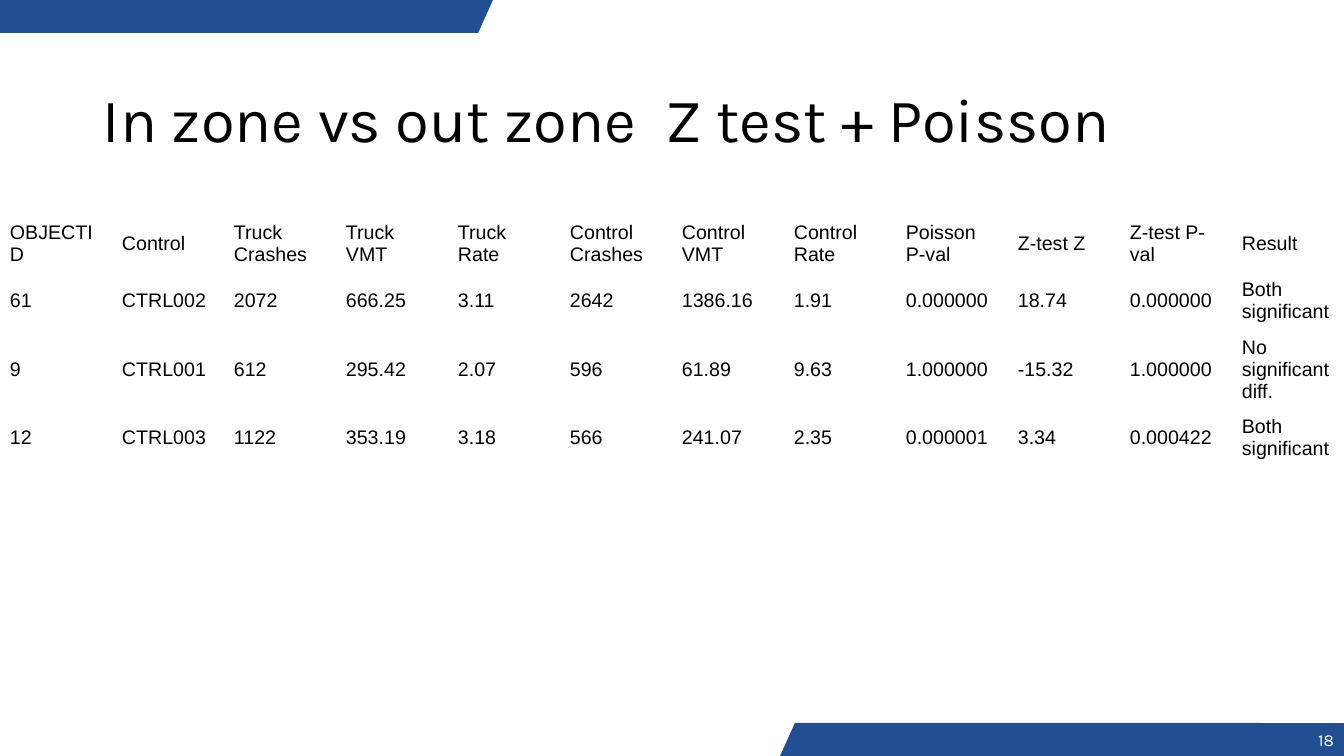
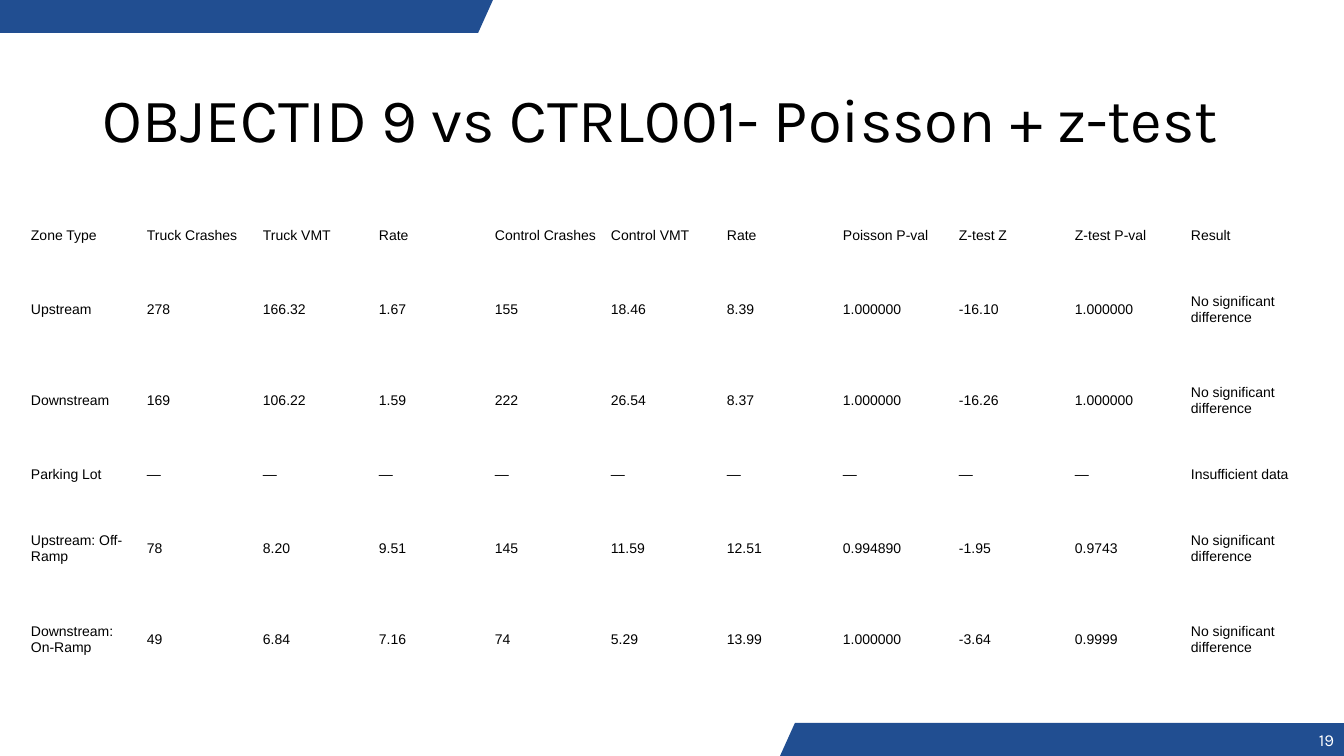
import pptx
import pptx.dml.color
import pptx.enum.shapes
import pptx.enum.text
import pptx.util

BLUE, BLACK, WHITE = "214E91", "000000", "FFFFFF"
HEADING_FONT, TABLE_FONT = "Karla", "Arial"
SLIDE_W, SLIDE_H = 1344, 756
BAND_H = 33
BAND_BOTTOM = SLIDE_H - BAND_H
TITLE_BOX = (93, 45, 1159, 146)
NUMBER_BOX = (1291, BAND_BOTTOM, 53, BAND_H)

BANDS = [
    {"left": 780, "top": BAND_BOTTOM, "width": 480, "slant": 0.45, "turn": 180},
    {"left": 931, "top": BAND_BOTTOM, "width": 413, "slant": 0, "turn": 180},
    {"left": 74, "top": 0, "width": 419, "slant": 0.45, "turn": 0},
    {"left": 0, "top": 0, "width": 361, "slant": 0, "turn": 0},
]

SLIDES = [
    {
        "title": "In zone vs out zone  Z test + Poisson",
        "number": "18",
        "corner": (0, 215),
        "column": 112,
        "row_heights": [54, 54, 76, 54],
        "insets": (10, 5),
        "size": 14,
        "rows": [
            ["OBJECTID", "Control", "Truck Crashes", "Truck VMT", "Truck Rate", "Control Crashes",
             "Control VMT", "Control Rate", "Poisson P-val", "Z-test Z", "Z-test P-val", "Result"],
            ["61", "CTRL002", "2072", "666.25", "3.11", "2642",
             "1386.16", "1.91", "0.000000", "18.74", "0.000000", "Both significant"],
            ["9", "CTRL001", "612", "295.42", "2.07", "596",
             "61.89", "9.63", "1.000000", "-15.32", "1.000000", "No significant diff."],
            ["12", "CTRL003", "1122", "353.19", "3.18", "566",
             "241.07", "2.35", "0.000001", "3.34", "0.000422", "Both significant"],
        ],
    },
    {
        "title": "OBJECTID 9 vs CTRL001- Poisson + z-test",
        "number": "19",
        "corner": (25, 207),
        "column": 116,
        "row_heights": [57, 91, 91, 57, 91, 91],
        "insets": (6, 3),
        "size": 10,
        "rows": [
            ["Zone Type", "Truck Crashes", "Truck VMT", "Rate", "Control Crashes", "Control VMT",
             "Rate", "Poisson P-val", "Z-test Z", "Z-test P-val", "Result"],
            ["Upstream", "278", "166.32", "1.67", "155", "18.46",
             "8.39", "1.000000", "-16.10", "1.000000", "No significant difference"],
            ["Downstream", "169", "106.22", "1.59", "222", "26.54",
             "8.37", "1.000000", "-16.26", "1.000000", "No significant difference"],
            ["Parking Lot", *["—"] * 9, "Insufficient data"],
            ["Upstream: Off-Ramp", "78", "8.20", "9.51", "145", "11.59",
             "12.51", "0.994890", "-1.95", "0.9743", "No significant difference"],
            ["Downstream: On-Ramp", "49", "6.84", "7.16", "74", "5.29",
             "13.99", "1.000000", "-3.64", "0.9999", "No significant difference"],
        ],
    },
]


def px(length):
    return pptx.util.Emu(round(length * 914400 / 100.8))


def color(value):
    return pptx.dml.color.RGBColor.from_string(value)


def write(frame, text, font, size, ink):
    frame.text = text
    for run in frame.paragraphs[0].runs:
        run.font.name = font
        run.font.size = pptx.util.Pt(size)
        run.font.color.rgb = color(ink)


def add_band(slide, band):
    shape = slide.shapes.add_shape(
        pptx.enum.shapes.MSO_SHAPE.PARALLELOGRAM,
        px(band["left"]), px(band["top"]), px(band["width"]), px(BAND_H))
    shape.adjustments[0] = band["slant"]
    shape.rotation = band["turn"]
    shape.shadow.inherit = False
    shape.fill.solid()
    shape.fill.fore_color.rgb = color(BLUE)
    shape.line.fill.background()


def add_label(slide, box, text, size, ink, align):
    frame = slide.shapes.add_textbox(*map(px, box)).text_frame
    frame.word_wrap = True
    frame.vertical_anchor = pptx.enum.text.MSO_ANCHOR.MIDDLE
    write(frame, text, HEADING_FONT, size, ink)
    frame.paragraphs[0].alignment = align


def add_results(slide, content):
    rows, heights, column = content["rows"], content["row_heights"], content["column"]
    left, top = content["corner"]
    side, edge = map(px, content["insets"])
    table = slide.shapes.add_table(
        len(rows), len(rows[0]), px(left), px(top),
        px(column * len(rows[0])), px(sum(heights))).table
    table.first_row = False
    table.horz_banding = False
    for table_column in table.columns:
        table_column.width = px(column)
    for table_row, height, values in zip(table.rows, heights, rows):
        table_row.height = px(height)
        for cell, value in zip(table_row.cells, values):
            cell.fill.background()
            cell.vertical_anchor = pptx.enum.text.MSO_ANCHOR.MIDDLE
            cell.margin_left = cell.margin_right = side
            cell.margin_top = cell.margin_bottom = edge
            write(cell.text_frame, value, TABLE_FONT, content["size"], BLACK)


def main():
    deck = pptx.Presentation()
    deck.slide_width, deck.slide_height = px(SLIDE_W), px(SLIDE_H)
    align = pptx.enum.text.PP_ALIGN
    for content in SLIDES:
        slide = deck.slides.add_slide(deck.slide_layouts[6])
        for band in BANDS:
            add_band(slide, band)
        add_label(slide, TITLE_BOX, content["title"], 44, BLACK, align.LEFT)
        add_label(slide, NUMBER_BOX, content["number"], 12, WHITE, align.RIGHT)
        add_results(slide, content)
    deck.save("out.pptx")


if __name__ == "__main__":
    main()
